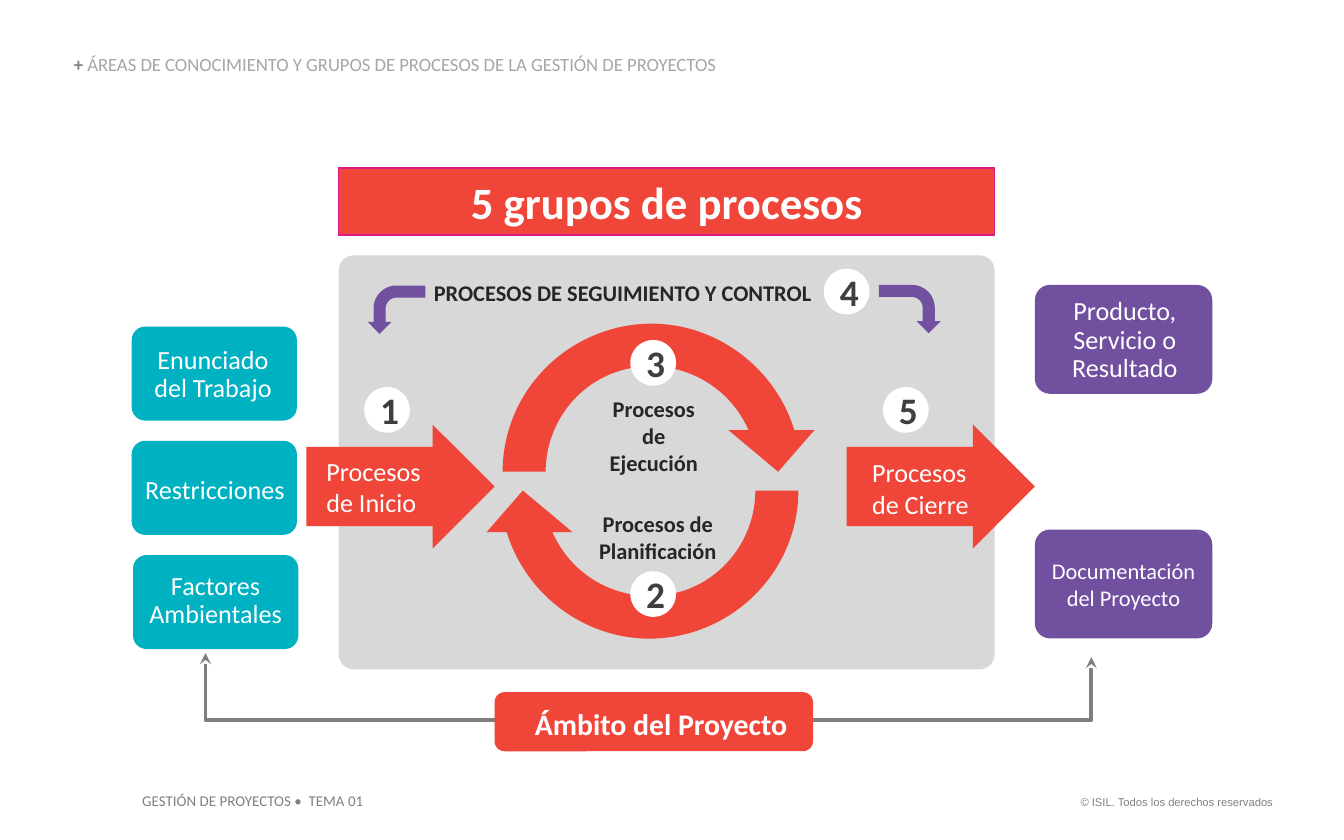
from pptx import Presentation
from pptx.dml.color import RGBColor as RGB
from pptx.enum.shapes import MSO_CONNECTOR as Link, MSO_SHAPE as Kind
from pptx.enum.text import MSO_ANCHOR as Anchor, PP_ALIGN as Align
from pptx.oxml.ns import qn
from pptx.oxml.xmlchemy import OxmlElement as Node
from pptx.util import Inches, Pt


class Theme:
    font, plain = "Calibri", "Arial"
    red, teal, violet, panel = "EF4639", "00B1C2", "7150A0", "D8D8D8"
    white, dark, digit = "FFFFFF", "262626", "3F3F3F"
    gray, pale, wire, edge = "808080", "A6A6A6", "7F7F7F", "D81B86"
    huge, num, scope, body, label, head, foot, tiny = 24, 20, 16, 14, 12, 10, 8, 6


T = Theme
PAD = (0.1, 0.05)
NONE = (0, 0)

INPUTS = [
    (0.98, 2.43, (1.04, 2.58, 1.09, 0.42), ["Enunciado", "del Trabajo"]),
    (0.98, 3.28, (0.99, 3.55, 1.22, 0.21), ["Restricciones"]),
    (0.99, 4.13, (1.02, 4.26, 1.17, 0.42), ["Factores", "Ambientales"]),
]
OUTPUTS = [
    (2.12, (7.76, 2.17, 1.22, 0.74), ["Producto,", "Servicio o", "Resultado"], T.body, 0.9),
    (3.94, (7.7, 4.1, 1.32, 0.5), ["Documentación", "del Proyecto"], T.label, 1),
]
ARROWS = [
    (2.28, (2.33, 3.34, 1.04, 0.57), ["Procesos", "de Inicio"]),
    (6.3, (6.39, 3.35, 1.02, 0.57), ["Procesos", "de Cierre"]),
]
LABELS = [
    ((3.13, 2.03, 3.07, 0.3), ["PROCESOS DE SEGUIMIENTO Y CONTROL"], Align.LEFT),
    ((4.36, 2.89, 1.01, 0.71), ["Procesos de", "Ejecución"], Align.CENTER),
    ((4.32, 3.75, 1.15, 0.5), ["Procesos de", "Planificación"], Align.CENTER),
]
BADGES = [("1", 2.71, 2.88), ("2", 4.69, 4.25), ("3", 4.69, 2.53),
          ("4", 6.13, 2), ("5", 6.57, 2.88)]
BENDS = [((6.59, 2.07, 0.36, 0.46), 90, False), ((2.77, 2.09, 0.36, 0.43), 270, True)]
RINGS = [(2.25, 0), (2.39, 180)]
SIDE = 2.52
CURVE = [
    ("moveTo", [(0.16, 1.26)]),
    ("cubicBezTo", [(0.16, 0.71), (0.57, 0.25), (1.11, 0.17)]),
    ("cubicBezTo", [(1.65, 0.09), (2.17, 0.43), (2.33, 0.95)]),
    ("lnTo", [(2.48, 0.95)]),
    ("lnTo", [(2.21, 1.26)]),
    ("lnTo", [(1.84, 0.95)]),
    ("lnTo", [(1.99, 0.95)]),
    ("cubicBezTo", [(1.84, 0.61), (1.48, 0.42), (1.11, 0.49)]),
    ("cubicBezTo", [(0.74, 0.56), (0.48, 0.89), (0.48, 1.26)]),
    ("close", []),
]
WIRES = [((6.04, 5.36), (8.12, 4.89)), ((3.73, 5.36), (1.53, 4.86))]
HEADER = [("+ ", T.gray, True),
          ("ÁREAS DE CONOCIMIENTO Y GRUPOS DE PROCESOS DE LA GESTIÓN DE PROYECTOS", T.pale, False)]
FOOTER = "GESTIÓN DE PROYECTOS •  TEMA 01"
RIGHTS = "© ISIL. Todos los derechos reservados"

deck = Presentation()
deck.slide_width, deck.slide_height = Inches(10), Inches(6.25)
slide = deck.slides.add_slide(deck.slide_layouts[6])
shapes = slide.shapes


def paint(shape, color):
    shape.shadow.inherit = False
    shape.fill.solid()
    shape.fill.fore_color.rgb = RGB.from_string(color)
    shape.line.fill.background()
    return shape


def draw(kind, box, color, *adj):
    shape = paint(shapes.add_shape(kind, *map(Inches, box)), color)
    for i, value in enumerate(adj):
        shape.adjustments[i] = value
    return shape


def write(shape, lines, size, color=T.white, bold=False, align=Align.CENTER,
          pad=PAD, anchor=Anchor.TOP, space=1, wrap=True, font=T.font):
    frame = shape.text_frame
    frame.word_wrap = wrap
    frame.vertical_anchor = anchor
    frame.margin_left = frame.margin_right = Inches(pad[0])
    frame.margin_top = frame.margin_bottom = Inches(pad[1])
    for i, line in enumerate(lines):
        para = frame.add_paragraph() if i else frame.paragraphs[0]
        para.alignment, para.line_spacing = align, space
        for text, tint, heavy in [(line, color, bold)] if isinstance(line, str) else line:
            run = para.add_run()
            run.text = text
            run.font.name, run.font.size, run.font.bold = font, Pt(size), heavy
            run.font.color.rgb = RGB.from_string(tint)


def label(box, lines, size, **look):
    write(shapes.add_textbox(*map(Inches, box)), lines, size, **look)


def ring(top, turn):
    left, right, low = Inches(3.58), Inches(3.58 + SIDE), Inches(top + SIDE)
    path = shapes.build_freeform(left, Inches(top))
    path.add_line_segments([(right, Inches(top)), (right, low), (left, low)])
    shape = paint(path.convert_to_shape(), T.red)
    shape.rotation = turn
    trace = next(shape._element.iter(qn("a:path")))
    for step in list(trace):
        trace.remove(step)
    for name, spots in CURVE:
        step = Node("a:" + name)
        for x, y in spots:
            spot = Node("a:pt")
            spot.set("x", str(Inches(x)))
            spot.set("y", str(Inches(y)))
            step.append(spot)
        trace.append(step)


def wire(start, end):
    link = shapes.add_connector(Link.ELBOW, *map(Inches, start + end))
    link.line.color.rgb = RGB.from_string(T.wire)
    link.line.width = Pt(2)
    props = link._element.spPr
    props.find(qn("a:prstGeom")).set("prst", "bentConnector2")
    tail = Node("a:tailEnd")
    tail.set("type", "stealth")
    props.find(qn("a:ln")).append(tail)
    props.append(Node("a:effectLst"))


draw(Kind.ROUNDED_RECTANGLE, (2.52, 1.9, 4.88, 3.08), T.panel, 0.036)
banner = draw(Kind.RECTANGLE, (2.52, 1.25, 4.88, 0.5), T.red)
banner.line.color.rgb = RGB.from_string(T.edge)
banner.line.width = Pt(0.75)
write(banner, ["5 grupos de procesos"], T.huge, bold=True, anchor=Anchor.MIDDLE)

for x, y, box, lines in INPUTS:
    draw(Kind.ROUNDED_RECTANGLE, (x, y, 1.23, 0.7), T.teal, 0.144)
    label(box, lines, T.body, pad=NONE, space=0.9)
for y, box, lines, size, space in OUTPUTS:
    draw(Kind.ROUNDED_RECTANGLE, (7.7, y, 1.32, 0.81), T.violet, 0.139)
    label(box, lines, size, space=space)
for box, turn, flip in BENDS:
    bend = draw(Kind.BENT_ARROW, box, T.violet, 0.25, 0.25, 0.25, 0.472)
    bend.rotation = turn
    if flip:
        bend._element.spPr.find(qn("a:xfrm")).set("flipH", "1")
for x, box, lines in ARROWS:
    draw(Kind.RIGHT_ARROW, (x, 3.16, 1.4, 0.92), T.red, 0.641, 0.5)
    label(box, lines, T.body, align=Align.LEFT)
for top, turn in RINGS:
    ring(top, turn)
for box, lines, align in LABELS:
    label(box, lines, T.label, color=T.dark, bold=True, align=align)
for digit, x, y in BADGES:
    draw(Kind.OVAL, (x, y, 0.34, 0.34), T.white)
    label((x + 0.02, y - 0.05, 0.32, 0.44), [digit], T.num, color=T.digit,
          bold=True, anchor=Anchor.MIDDLE)
for start, end in WIRES:
    wire(start, end)

draw(Kind.ROUNDED_RECTANGLE, (3.68, 5.15, 2.37, 0.44), T.red, 0.171)
label((3.82, 5.2, 2.2, 0.37), ["Ámbito del Proyecto"], T.scope, bold=True)
label((0.55, 0.41, 5.86, 0.15), [HEADER], T.head, align=Align.LEFT, pad=NONE,
      anchor=Anchor.BOTTOM, space=0.9)
label((0.96, 5.84, 1.85, 0.24), [FOOTER], T.foot, color=T.gray, align=Align.LEFT, wrap=False)
label((7.91, 5.87, 1.66, 0.2), [RIGHTS], T.tiny, color=T.gray, align=Align.RIGHT,
      wrap=False, font=T.plain)

deck.save("out.pptx")
